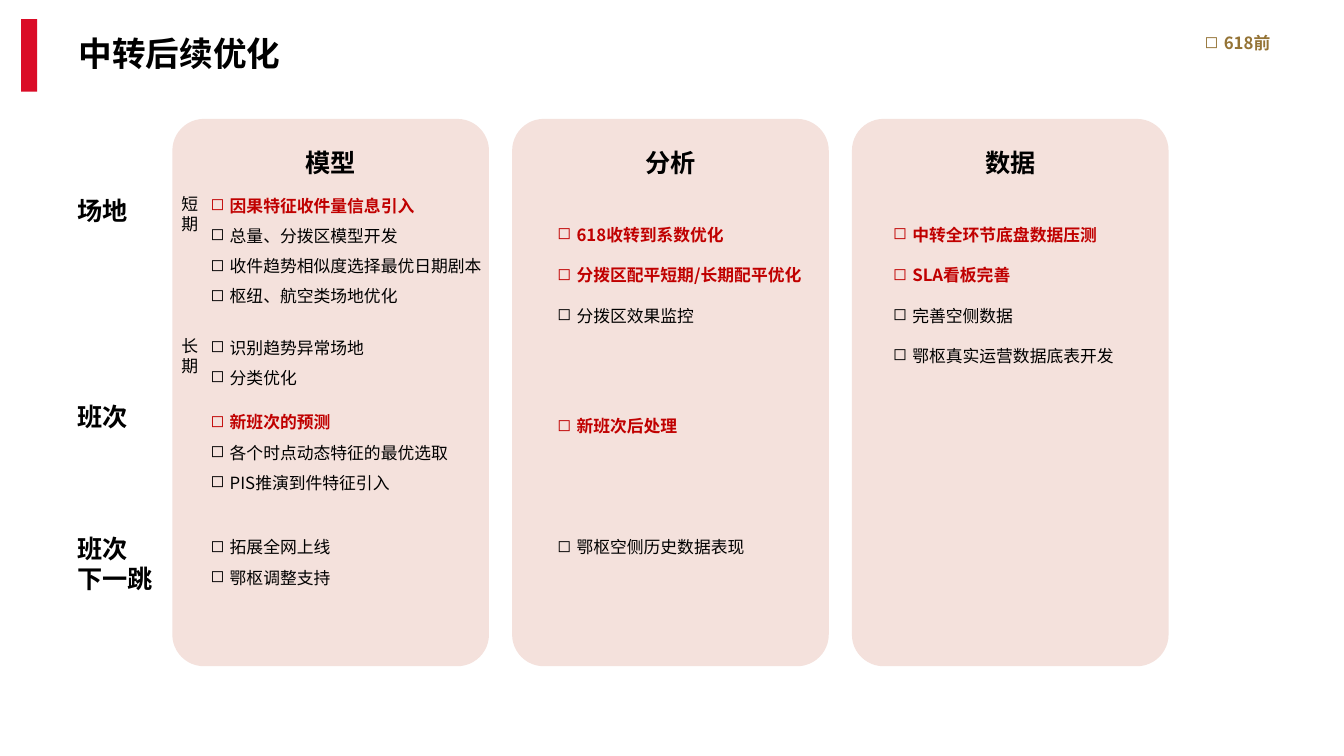
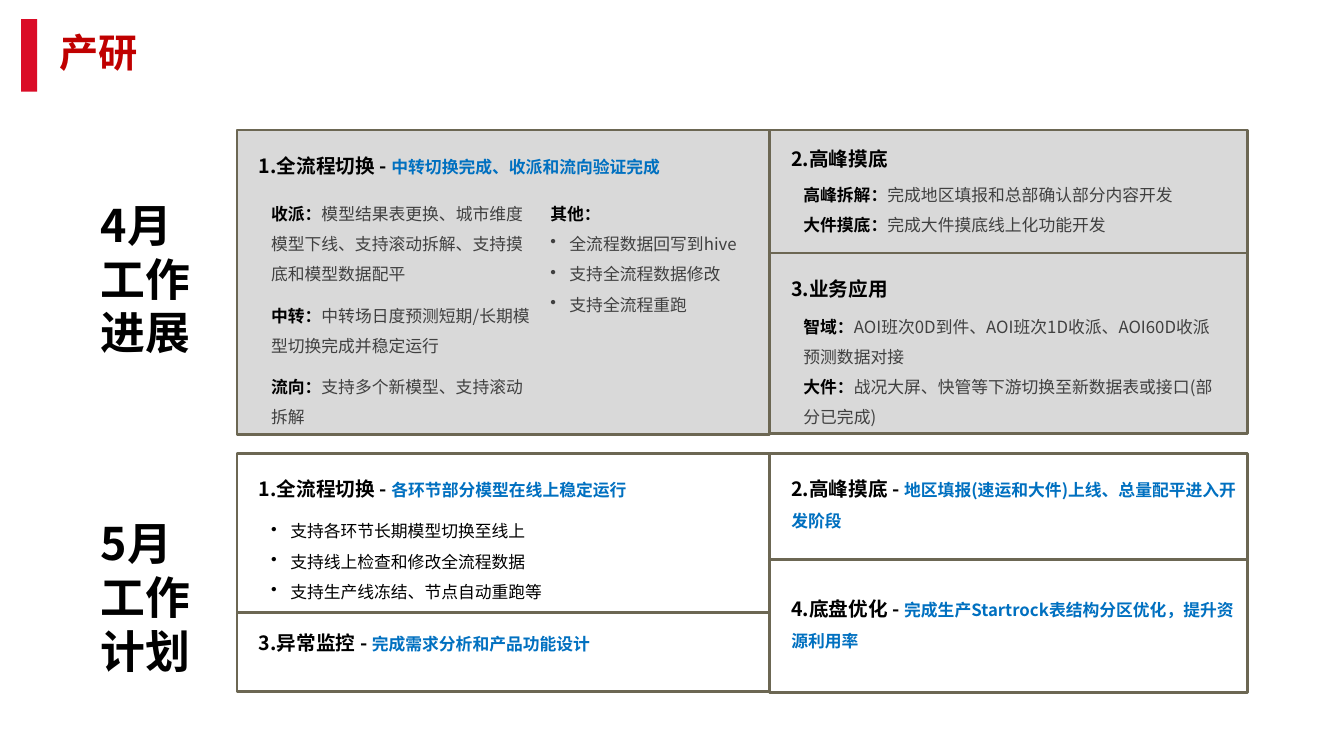
import dataclasses

import lxml.etree
import pptx
import pptx.dml.color
import pptx.enum.shapes
import pptx.enum.text
import pptx.oxml.ns
import pptx.shapes.shapetree
import pptx.util

ALIGN = pptx.enum.text.PP_ALIGN
ANCHOR = pptx.enum.text.MSO_ANCHOR
SHAPE = pptx.enum.shapes.MSO_SHAPE
qn = pptx.oxml.ns.qn


@dataclasses.dataclass(frozen=True)
class Style:
    size: int
    color: str
    bold: bool = False


class Theme:
    font = "Noto Sans CJK SC"
    bar, card = "DA0C27", "F4E1DC"
    done, border = "D9D9D9", "6C6753"
    title = Style(24, "000000", True)
    red_title = Style(28, "C00000", True)
    heading = Style(18, "000000", True)
    month = Style(32, "000000", True)
    item = Style(12, "000000")
    urgent = Style(12, "C00000", True)
    legend = Style(12, "947335", True)
    panel_head = Style(14, "000000", True)
    panel_note = Style(12, "0070C0", True)
    label = Style(12, "000000", True)
    detail = Style(12, "404040")
    square, dot = "◻", "•"
    hang = 0.19
    line = 0.2  # height of a 12 point line at single spacing


@dataclasses.dataclass(frozen=True)
class Box:
    left: float
    top: float
    width: float
    height: float

    def inner(self, right, down, width, height):
        return Box(self.left + right, self.top + down, width, height)

    def lengths(self):
        return [pptx.util.Inches(n) for n in dataclasses.astuple(self)]


@dataclasses.dataclass(frozen=True)
class Para:
    spans: tuple
    bullet: str = ""


def plain(text, style, bullet=""):
    return Para(((text, style),), bullet)


def labelled(label, detail):
    return Para(((label, Theme.label), (detail, Theme.detail)))


def bullets(texts, style, mark):
    return [plain(text, style, mark) for text in texts]


def rgb(color):
    return pptx.dml.color.RGBColor.from_string(color)


def apply_style(font, style):
    font.name = Theme.font
    font.size = pptx.util.Pt(style.size)
    font.bold = style.bold
    font.color.rgb = rgb(style.color)


def add_bullet(para, mark):
    properties = para._p.get_or_add_pPr()
    hang = pptx.util.Inches(Theme.hang)
    properties.set("marL", str(hang))
    properties.set("indent", str(-hang))
    color = para.runs[0].font.color.rgb if para.runs[0].font.color.type else None
    if color is not None:
        holder = lxml.etree.SubElement(properties, qn("a:buClr"))
        lxml.etree.SubElement(holder, qn("a:srgbClr")).set("val", str(color))
    lxml.etree.SubElement(properties, qn("a:buChar")).set("char", mark)


def write(frame, paras, spacing=1, align=ALIGN.LEFT):
    frame.word_wrap = True
    for number, content in enumerate(paras):
        para = frame.paragraphs[0] if number == 0 else frame.add_paragraph()
        styles = {style for _, style in content.spans}
        for text, style in content.spans:
            span = para.add_run()
            span.text = text
            if len(styles) > 1 or content.bullet:
                apply_style(span.font, style)
        if content.bullet:
            add_bullet(para, content.bullet)
        para.alignment = align
        para.line_spacing = spacing
        if len(styles) == 1:
            apply_style(para.font, content.spans[0][1])


def add_text(page, box, paras, spacing=1, align=ALIGN.LEFT, anchor=ANCHOR.TOP):
    frame = page.shapes.add_textbox(*box.lengths()).text_frame
    frame.vertical_anchor = anchor
    write(frame, paras, spacing, align)


def add_block(shapes, kind, box, fill=None, border=None):
    block = shapes.add_shape(kind, *box.lengths())
    block.shadow.inherit = False
    if fill:
        block.fill.solid()
        block.fill.fore_color.rgb = rgb(fill)
    else:
        block.fill.background()
    if border:
        block.line.color.rgb = rgb(border)
        block.line.width = pptx.util.Pt(2)
    else:
        block.line.fill.background()
    return block


def prepare_layout(deck):
    """Set the fonts of the deck and put the red bar on the title-only layout."""
    layout = deck.slide_layouts[5]
    for root in (deck.element, deck.slide_master.element):
        for face in root.iter(qn("a:latin"), qn("a:ea")):
            face.set("typeface", Theme.font)
    shapes = pptx.shapes.shapetree.SlideShapes(layout.shapes.element, layout)
    add_block(shapes, SHAPE.RECTANGLE, Box(0.21, 0.19, 0.16, 0.72), Theme.bar)
    return layout


def add_page(deck, layout, title, box, style):
    page = deck.slides.add_slide(layout)
    holder = page.shapes.title
    holder.left, holder.top, holder.width, holder.height = box.lengths()
    holder.text_frame.auto_size = pptx.enum.text.MSO_AUTO_SIZE.NONE
    holder.text_frame.vertical_anchor = ANCHOR.MIDDLE
    write(holder.text_frame, [plain(title, style)])
    return page


def add_card(page, box, heading, indent, groups):
    """Groups are (offset from the top, line spacing, urgent items, other items)."""
    block = add_block(page.shapes, SHAPE.ROUNDED_RECTANGLE, box, Theme.card)
    block.adjustments[0] = 0.1
    add_text(page, box.inner(0, 0, box.width, 0.86), [plain(heading, Theme.heading)],
             align=ALIGN.CENTER, anchor=ANCHOR.MIDDLE)
    for down, spacing, urgent, others in groups:
        paras = (bullets(urgent, Theme.urgent, Theme.square)
                 + bullets(others, Theme.item, Theme.square))
        height = len(paras) * Theme.line * spacing + 0.1
        add_text(page, box.inner(indent, down, 3.07, height), paras, spacing)


def add_panel(page, box, fill, heading, note="", down=0.07, bodies=()):
    """Bodies are (right, down, width, line count, paragraphs)."""
    add_block(page.shapes, SHAPE.RECTANGLE, box, fill, Theme.border)
    spans = ((heading, Theme.panel_head),)
    if note:
        spans = ((heading + " - ", Theme.panel_head), (note, Theme.panel_note))
    add_text(page, box.inner(0.12, down, box.width - 0.12, 0.45), [Para(spans)], 1.5)
    for right, below, width, lines, paras in bodies:
        height = lines * Theme.line * 1.5 + 0.1
        add_text(page, box.inner(right, below, width, height), paras, 1.5)


def build_optimisation(deck, layout):
    page = add_page(deck, layout, "中转后续优化", Box(0.68, 0.28, 3.27, 0.5), Theme.title)
    cards = [
        ("模型", 0.28, [
            (0.61, 1.5, ["因果特征收件量信息引入"],
             ["总量、分拨区模型开发", "收件趋势相似度选择最优日期剧本", "枢纽、航空类场地优化"]),
            (2.02, 1.5, [], ["识别趋势异常场地", "分类优化"]),
            (2.76, 1.5, ["新班次的预测"],
             ["各个时点动态特征的最优选取", "PIS推演到件特征引入"]),
            (4, 1.5, [], ["拓展全网上线", "鄂枢调整支持"]),
        ]),
        ("分析", 0.35, [
            (0.8, 2, ["618收转到系数优化", "分拨区配平短期/长期配平优化"], ["分拨区效果监控"]),
            (2.8, 1.5, ["新班次后处理"], []),
            (4, 1.5, [], ["鄂枢空侧历史数据表现"]),
        ]),
        ("数据", 0.31, [
            (0.8, 2, ["中转全环节底盘数据压测", "SLA看板完善"],
             ["完善空侧数据", "鄂枢真实运营数据底表开发"]),
        ]),
    ]
    first = Box(1.71, 1.18, 3.14, 5.43)
    for column, card in enumerate(cards):
        add_card(page, first.inner(column * 3.37, 0, first.width, first.height), *card)

    row_labels = [(1.89, ["场地"]), (3.93, ["班次"]), (5.24, ["班次", "下一跳"])]
    for top, lines in row_labels:
        add_text(page, Box(0.67, top, 1.68, 0.1 + 0.3 * len(lines)),
                 [plain(line, Theme.heading) for line in lines])
    for top, term in [(1.87, "短期"), (3.28, "长期")]:
        add_text(page, Box(1.7, top, 0.54, 0.5), [plain(sign, Theme.item) for sign in term])
    add_text(page, Box(11.85, 0.18, 1.2, 0.4),
             bullets(["618前"], Theme.legend, Theme.square), 1.5)


def add_month(page, top, lines):
    add_text(page, Box(0.9, top, 1.19, 1.72), [plain(line, Theme.month) for line in lines])


def build_progress(deck, layout):
    page = add_page(deck, layout, "产研", Box(0.49, 0.23, 6.81, 0.57), Theme.red_title)
    left, split, wide, narrow = 2.35, 7.63, 5.28, 4.74

    add_month(page, 1.91, ["4月", "工作", "进展"])
    switching = [
        (0.24, 0.58, 2.79, 3, [labelled(
            "收派：", "模型结果表更换、城市维度模型下线、支持滚动拆解、支持摸底和模型数据配平")]),
        (0.24, 1.59, 2.77, 2, [labelled(
            "中转：", "中转场日度预测短期/长期模型切换完成并稳定运行")]),
        (0.24, 2.3, 2.77, 2, [labelled("流向：", "支持多个新模型、支持滚动拆解")]),
        (3.01, 0.58, 2.26, 4, [plain("其他：", Theme.label)] + bullets(
            ["全流程数据回写到hive", "支持全流程数据修改", "支持全流程重跑"],
            Theme.detail, Theme.dot)),
    ]
    peak = [(0.24, 0.39, 3.93, 2, [
        labelled("高峰拆解：", "完成地区填报和总部确认部分内容开发"),
        labelled("大件摸底：", "完成大件摸底线上化功能开发")])]
    business = [(0.24, 0.48, 4.35, 4, [
        labelled("智域：", "AOI班次0D到件、AOI班次1D收派、AOI60D收派预测数据对接"),
        labelled("大件：", "战况大屏、快管等下游切换至新数据表或接口(部分已完成)")])]
    add_panel(page, Box(left, 1.29, wide, 3.02), Theme.done, "1.全流程切换",
              "中转切换完成、收派和流向验证完成", bodies=switching)
    add_panel(page, Box(split, 1.29, narrow, 1.22), Theme.done, "2.高峰摸底",
              down=0, bodies=peak)
    add_panel(page, Box(split, 2.51, narrow, 1.79), Theme.done, "3.业务应用",
              bodies=business)

    add_month(page, 5.07, ["5月", "工作", "计划"])
    plans = [(0.24, 0.52, 3.18, 3, bullets(
        ["支持各环节长期模型切换至线上", "支持线上检查和修改全流程数据",
         "支持生产线冻结、节点自动重跑等"], Theme.item, Theme.dot))]
    add_panel(page, Box(left, 4.5, wide, 1.58), None, "1.全流程切换",
              "各环节部分模型在线上稳定运行", bodies=plans)
    add_panel(page, Box(split, 4.5, narrow, 1.05), None, "2.高峰摸底",
              "地区填报(速运和大件)上线、总量配平进入开发阶段")
    add_panel(page, Box(left, 6.08, wide, 0.78), None, "3.异常监控",
              "完成需求分析和产品功能设计", down=0.01)
    add_panel(page, Box(split, 5.55, narrow, 1.32), None, "4.底盘优化",
              "完成生产Startrock表结构分区优化，提升资源利用率", down=0.21)


def main():
    deck = pptx.Presentation()
    deck.slide_width = pptx.util.Inches(13.33)
    deck.slide_height = pptx.util.Inches(7.5)
    layout = prepare_layout(deck)
    build_optimisation(deck, layout)
    build_progress(deck, layout)
    deck.save("out.pptx")


if __name__ == "__main__":
    main()
